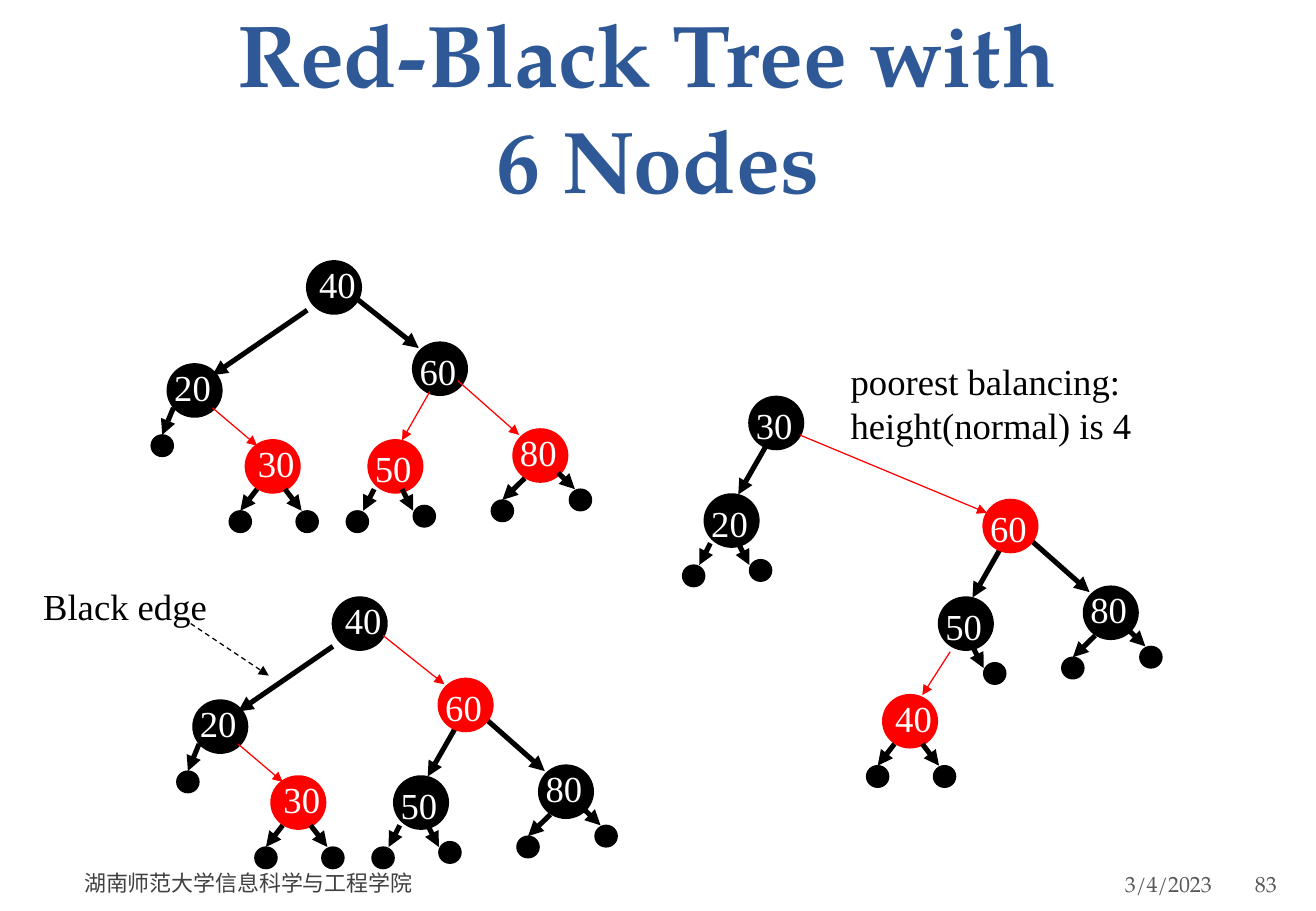
import pptx
import pptx.dml.color
import pptx.enum.dml
import pptx.enum.shapes
import pptx.enum.text
import pptx.oxml
import pptx.util

WIDTH, HEIGHT = 10.83, 7.5
COLUMNS, ROWS = 118, 84
NODE_SIZE, LEAF_SIZE = 4.8, 2
LABEL_WIDTH, LABEL_HEIGHT = 7, 5.3
BLACK, RED, WHITE = "000000", "FF0000", "FFFFFF"
SERIF, HEADING = "Times New Roman", "TeX Gyre Pagella"
ALIGN = pptx.enum.text.PP_ALIGN
ANCHOR = pptx.enum.text.MSO_ANCHOR

# Columns and rows from the parent's corner: place of the child, edge start, edge end
LINKS = {
    "steep": ((-4, 9), (1.5, 4.5), (-1, 9)),
    "lower left": ((-5, 9), (1, 5), (-1.5, 9)),
    "far left": ((-12.5, 9.5), (0, 4.5), (-8.5, 10.5)),
    "near right": ((7, 7), (4, 4), (8, 7.5)),
    "right": ((9, 8), (4, 3.5), (9.5, 8.5)),
    "upper right": ((9.5, 7.5), (4.5, 3.5), (10, 8)),
    "far right": ((21, 9.5), (4.5, 3.5), (21.3, 10.7)),
}
RIGHT_LEAF = ((4, 6), (3, 4.5), (4, 6.5))
LEAVES = {
    "none": [],
    "single left": [((-1.5, 6.5), (0.5, 4), (-0.5, 6.5))],
    "single right": [RIGHT_LEAF],
    "even": [((-1.5, 6.5), (1, 4.5), (-0.5, 6.5)), ((4.5, 6.5), (3.5, 4.5), (5, 6.5))],
    "narrow": [((-2, 6.5), (0.5, 4.5), (-0.5, 6.5)), RIGHT_LEAF],
    "wide": [((-2, 6.5), (1, 4.5), (-1, 6.5)), ((5, 5.5), (4, 4), (5.5, 5.5))],
}

# Node: key, label shift, leaves, children as (link, node)
NODE_80 = ("80", (-0.5, -0.5), "wide", [])
BALANCED = ("40", (0, -0.5), "none", [
    ("far left", ("20", (-0.5, -0.5), "single left", [
        ("near right", ("30", (0, -0.5), "even", []))])),
    ("upper right", ("60", (-0.5, 0), "none", [
        ("steep", ("50", (-0.5, 0), "narrow", [])),
        ("right", NODE_80)])),
])
POOREST = ("30", (-0.5, 0), "none", [
    ("steep", ("20", (-0.5, 0), "narrow", [])),
    ("far right", ("60", (-0.5, 0), "none", [
        ("right", NODE_80),
        ("steep", ("50", (-0.5, 0), "single right", [
            ("lower left", ("40", (0, -0.5), "even", []))]))])),
])
TREES = [
    ((27.55, 24.1), BALANCED, {"30", "50", "80"}),
    ((29.85, 55.1), BALANCED, {"30", "60"}),
    ((67.2, 36.6), POOREST, {"40", "60"}),
]

FOOTER = {"size": 13, "font": HEADING, "anchor": ANCHOR.MIDDLE}
TEXTS = [
    ("Red-Black Tree with \v6 Nodes", (5.9, 6, 106.2, 14),
     {"size": 52, "font": HEADING, "color": "2F5897", "bold": True,
      "align": ALIGN.CENTER, "anchor": ANCHOR.BOTTOM, "spacing": 62.8}),
    ("3/4/2023", (82.3, 79.2, 26.9, 4.5),
     {**FOOTER, "color": "595959", "align": ALIGN.RIGHT, "insets": (0.1, 0.05)}),
    ("湖南师范大学信息科学与工程学院", (7, 79.1, 74.3, 4.5),
     {**FOOTER, "color": "404040", "insets": (0.05, 0.1)}),
    ("83", (112.2, 79.2, 5.3, 4.5),
     {**FOOTER, "color": "595959", "insets": (0.03, 0.05)}),
    ("poorest balancing: height(normal) is 4", (75.2, 32.5, 33.1, 9.3), {}),
    ("Black edge", (2.8, 53.3, 23.5, 5.3), {}),
]
POINTER = ((17.1, 57.5), (24.1, 62.3))


def rgb(color):
    return pptx.dml.color.RGBColor.from_string(color)


def emu(column, row):
    return (pptx.util.Inches(column * WIDTH / COLUMNS),
            pptx.util.Inches(row * HEIGHT / ROWS))


def shift(point, offset):
    return point[0] + offset[0], point[1] + offset[1]


def add_text(page, text, frame, size=21.7, font=SERIF, color=BLACK, bold=False,
             align=ALIGN.LEFT, anchor=ANCHOR.TOP, spacing=None, insets=(0.1, 0.1)):
    box = page.shapes.add_textbox(*emu(*frame[:2]), *emu(*frame[2:]))
    body = box.text_frame
    body.word_wrap = True
    body.vertical_anchor = anchor
    body.margin_left, body.margin_right = map(pptx.util.Inches, insets)
    para = body.paragraphs[0]
    para.text = text
    para.alignment = align
    if spacing:
        para.line_spacing = pptx.util.Pt(spacing)
    for span in para.runs:
        span.font.size = pptx.util.Pt(size)
        span.font.name = font
        span.font.bold = bold
        span.font.color.rgb = rgb(color)


def add_circle(page, corner, size, color, line_width):
    circle = page.shapes.add_shape(pptx.enum.shapes.MSO_SHAPE.OVAL,
                                   *emu(*corner), *emu(size, size))
    circle.shadow.inherit = False
    circle.fill.solid()
    circle.fill.fore_color.rgb = rgb(color)
    circle.line.color.rgb = rgb(color)
    circle.line.width = pptx.util.Pt(line_width)


def add_arrow(page, start, end, color=BLACK, width=3, dashed=False):
    arrow = page.shapes.add_connector(pptx.enum.shapes.MSO_CONNECTOR.STRAIGHT,
                                      *emu(*start), *emu(*end))
    arrow.line.color.rgb = rgb(color)
    arrow.line.width = pptx.util.Pt(width)
    if dashed:
        arrow.line.dash_style = pptx.enum.dml.MSO_LINE.DASH
    properties = arrow._element.spPr
    outline = properties.find(pptx.oxml.ns.qn("a:ln"))
    outline.append(pptx.oxml.parse_xml(
        f'<a:tailEnd {pptx.oxml.ns.nsdecls("a")} type="triangle"/>'))
    properties.append(pptx.oxml.parse_xml(f'<a:effectLst {pptx.oxml.ns.nsdecls("a")}/>'))


def add_tree(page, corner, node, red_keys):
    """Draw a node, its leaves and its subtrees; an edge takes its child's colour."""
    key, label_shift, leaves, children = node

    def add_edges(red):
        for link, child in children:
            if (child[0] in red_keys) == red:
                _, start, end = LINKS[link]
                add_arrow(page, shift(corner, start), shift(corner, end),
                          RED if red else BLACK, 0.75 if red else 3)

    add_edges(red=False)
    add_circle(page, corner, NODE_SIZE, RED if key in red_keys else BLACK, 1.5)
    add_text(page, key, (*shift(corner, label_shift), LABEL_WIDTH, LABEL_HEIGHT),
             color=WHITE)
    add_edges(red=True)
    for place, start, end in LEAVES[leaves]:
        add_circle(page, shift(corner, place), LEAF_SIZE, BLACK, 0.75)
        add_arrow(page, shift(corner, start), shift(corner, end))
    for link, child in children:
        add_tree(page, shift(corner, LINKS[link][0]), child, red_keys)


def main():
    deck = pptx.Presentation()
    deck.slide_width, deck.slide_height = emu(COLUMNS, ROWS)
    page = deck.slides.add_slide(deck.slide_layouts[6])
    for root, tree, red_keys in TREES:
        add_tree(page, root, tree, red_keys)
    for text, frame, style in TEXTS:
        add_text(page, text, frame, **style)
    add_arrow(page, *POINTER, width=0.75, dashed=True)
    deck.save("out.pptx")


if __name__ == "__main__":
    main()
